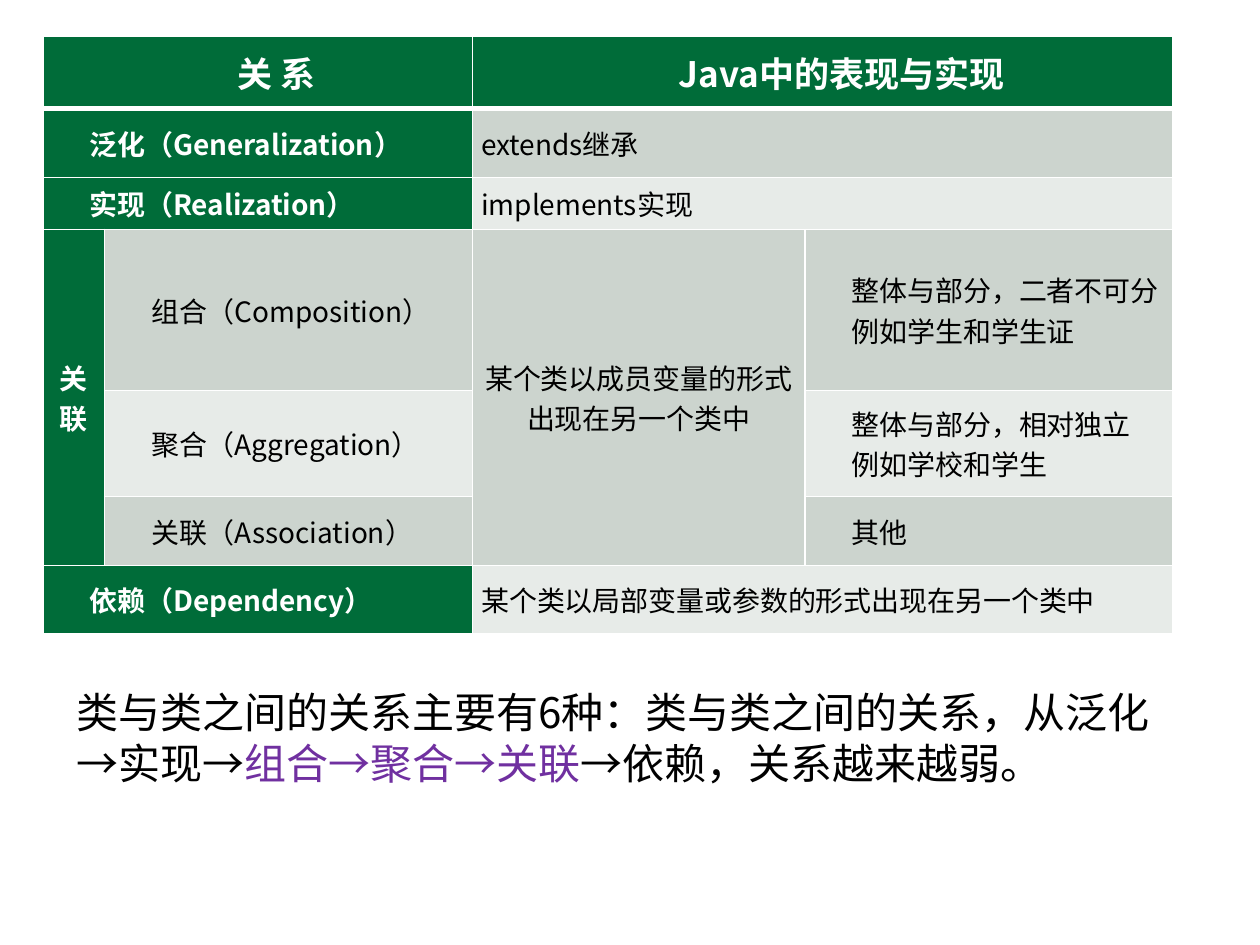
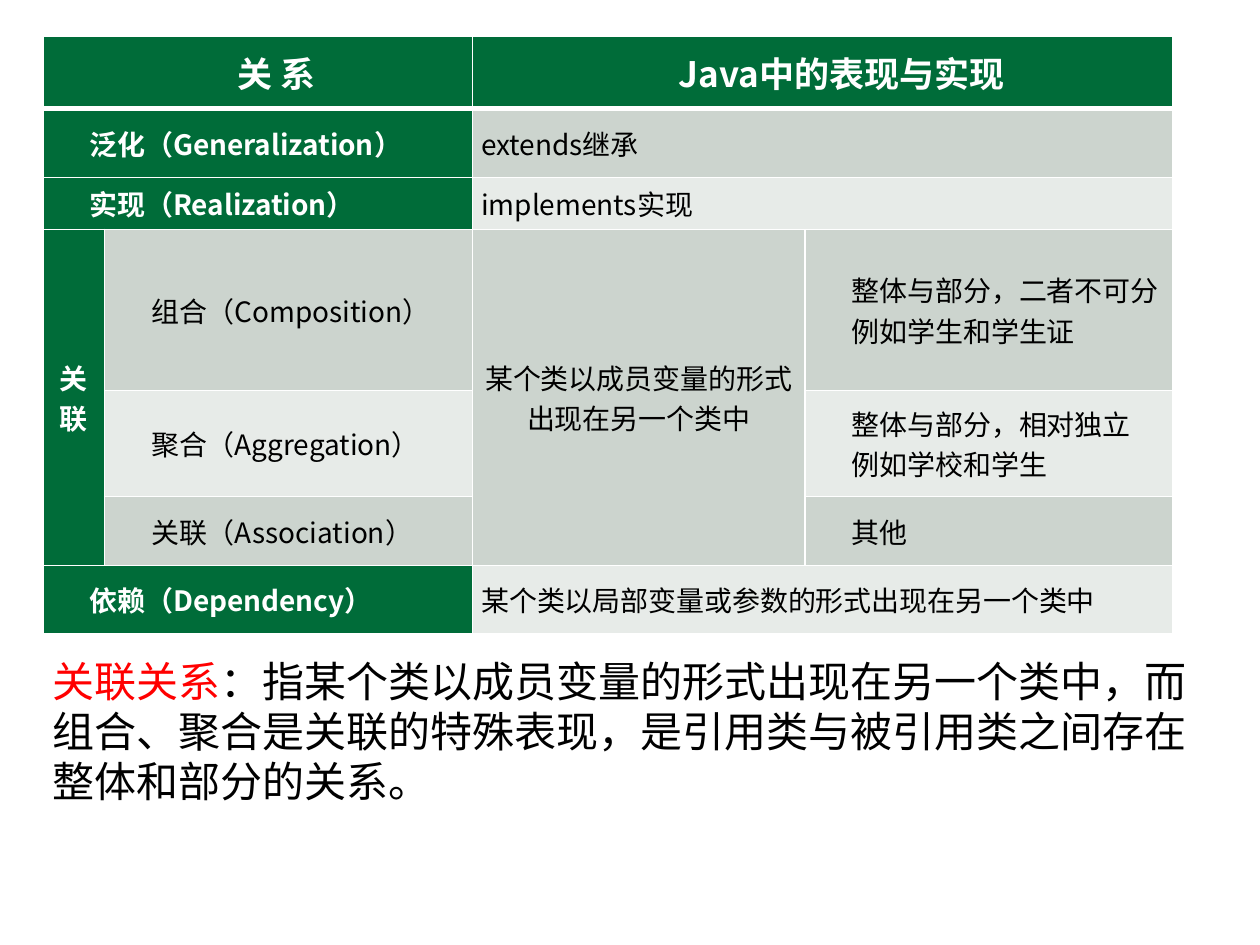
from pptx import Presentation
from pptx.dml.color import RGBColor
from pptx.enum.text import MSO_ANCHOR, MSO_AUTO_SIZE, PP_ALIGN
from pptx.oxml import parse_xml
from pptx.oxml.ns import nsdecls, qn
from pptx.util import Inches, Pt
from lxml.etree import SubElement

FONT = "Noto Sans CJK SC"
BLACK, WHITE, GREEN = "000000", "FFFFFF", "006C39"
DARK_BAND, LIGHT_BAND = "CCD4CE", "E7EBE8"
PURPLE, RED = "7030A0", "FF0000"

COL_WIDTHS = [0.49, 2.92, 2.64, 2.92]
ROW_HEIGHTS = [0.57, 0.55, 0.41, 1.28, 0.84, 0.55, 0.54]
INDENT = 0.3

# style: fill (None = band of the row), text colour, size, bold, alignment, indent
STYLES = {
    "header": (GREEN, WHITE, 20, True, PP_ALIGN.CENTER, INDENT),
    "kind": (GREEN, WHITE, 16, True, PP_ALIGN.LEFT, INDENT),
    "group": (GREEN, WHITE, 16, True, PP_ALIGN.CENTER, 0),
    "wide": (None, BLACK, 16, False, PP_ALIGN.JUSTIFY, 0),
    "item": (None, BLACK, 16, False, PP_ALIGN.JUSTIFY, INDENT),
    "shared": (None, BLACK, 16, False, PP_ALIGN.CENTER, 0),
}

# row, column, rows spanned, columns spanned, style, paragraphs
CELLS = [
    (0, 0, 1, 2, "header", ["关 系"]),
    (0, 2, 1, 2, "header", ["Java中的表现与实现"]),
    (1, 0, 1, 2, "kind", ["泛化（Generalization）"]),
    (1, 2, 1, 2, "wide", ["extends继承"]),
    (2, 0, 1, 2, "kind", ["实现（Realization）"]),
    (2, 2, 1, 2, "wide", ["implements实现"]),
    (3, 0, 3, 1, "group", ["关联"]),
    (3, 1, 1, 1, "item", ["组合（Composition）"]),
    (3, 2, 3, 1, "shared", ["某个类以成员变量的形式出现在另一个类中"]),
    (3, 3, 1, 1, "item", ["整体与部分，二者不可分", "例如学生和学生证"]),
    (4, 1, 1, 1, "item", ["聚合（Aggregation）"]),
    (4, 3, 1, 1, "item", ["整体与部分，相对独立", "例如学校和学生"]),
    (5, 1, 1, 1, "item", ["关联（Association）"]),
    (5, 3, 1, 1, "item", ["其他"]),
    (6, 0, 1, 2, "kind", ["依赖（Dependency）"]),
    (6, 2, 1, 2, "wide", ["某个类以局部变量或参数的形式出现在另一个类中"]),
]

# position and runs of the remark under the table, one per slide
REMARKS = [
    ((0.51, 5.4, 8.98, 0.88), [
        ("类与类之间的关系主要有6种：类与类之间的关系，从泛化→实现→", BLACK),
        ("组合→聚合→关联", PURPLE),
        ("→依赖，关系越来越弱。", BLACK),
    ]),
    ((0.32, 5.15, 9.26, 1.27), [
        ("关联关系", RED),
        ("：指某个类以成员变量的形式出现在另一个类中，而组合、聚合是关联的"
         "特殊表现，是引用类与被引用类之间存在整体和部分的关系。", BLACK),
    ]),
]


def rgb(color):
    return RGBColor.from_string(color)


def add_run(p, text, size, color, bold=False):
    r = p.add_run()
    r.text = text
    r.font.name = FONT
    r.font.size = Pt(size)
    r.font.bold = bold
    r.font.color.rgb = rgb(color)
    SubElement(r.font._element, qn("a:ea")).set("typeface", FONT)


def set_borders(cell, row):
    """White rules, heavier on both sides of the line under the header."""
    widths = {"L": 1, "R": 1, "T": 3 if row == 1 else 1, "B": 3 if row == 0 else 1}
    tcPr = cell._tc.get_or_add_tcPr()
    for i, (side, width) in enumerate(widths.items()):
        tcPr.insert(i, parse_xml(
            f'<a:ln{side} {nsdecls("a")} w="{Pt(width)}"><a:solidFill>'
            f'<a:srgbClr val="{WHITE}"/></a:solidFill></a:ln{side}>'))


def fill_cell(cell, style, band, paragraphs):
    fill, color, size, bold, align, indent = STYLES[style]
    cell.fill.solid()
    cell.fill.fore_color.rgb = rgb(fill or band)
    cell.vertical_anchor = MSO_ANCHOR.MIDDLE
    cell.margin_left = cell.margin_right = Inches(0.07)
    cell.margin_top = cell.margin_bottom = 0
    tf = cell.text_frame
    for i, text in enumerate(paragraphs):
        p = tf.add_paragraph() if i else tf.paragraphs[0]
        p.alignment = align
        pPr = p._p.get_or_add_pPr()
        pPr.set("marL", "0")
        pPr.set("indent", str(Inches(indent)))
        add_run(p, text, size, color, bold)


def add_relation_table(s):
    frame = s.shapes.add_table(
        len(ROW_HEIGHTS), len(COL_WIDTHS), Inches(0.34), Inches(0.29),
        Inches(sum(COL_WIDTHS)), Inches(sum(ROW_HEIGHTS)))
    table = frame.table
    table.first_row = table.horz_banding = False
    for column, width in zip(table.columns, COL_WIDTHS):
        column.width = Inches(width)
    for row, height in zip(table.rows, ROW_HEIGHTS):
        row.height = Inches(height)

    for row, col, row_span, col_span, style, paragraphs in CELLS:
        band = DARK_BAND if row % 2 else LIGHT_BAND
        cell = table.cell(row, col)
        if row_span * col_span > 1:
            cell.merge(table.cell(row + row_span - 1, col + col_span - 1))
        fill_cell(cell, style, band, paragraphs)
    for row in range(len(ROW_HEIGHTS)):
        for col in range(len(COL_WIDTHS)):
            set_borders(table.cell(row, col), row)


def add_remark(s, box, runs):
    tf = s.shapes.add_textbox(*map(Inches, box)).text_frame
    tf.word_wrap = True
    tf.auto_size = MSO_AUTO_SIZE.SHAPE_TO_FIT_TEXT
    for text, color in runs:
        add_run(tf.paragraphs[0], text, 24, color)


def main():
    prs = Presentation()
    prs.slide_width, prs.slide_height = Inches(10), Inches(7.5)
    for box, runs in REMARKS:
        s = prs.slides.add_slide(prs.slide_layouts[6])
        add_remark(s, box, runs)
        add_relation_table(s)
    prs.save("out.pptx")


if __name__ == "__main__":
    main()
